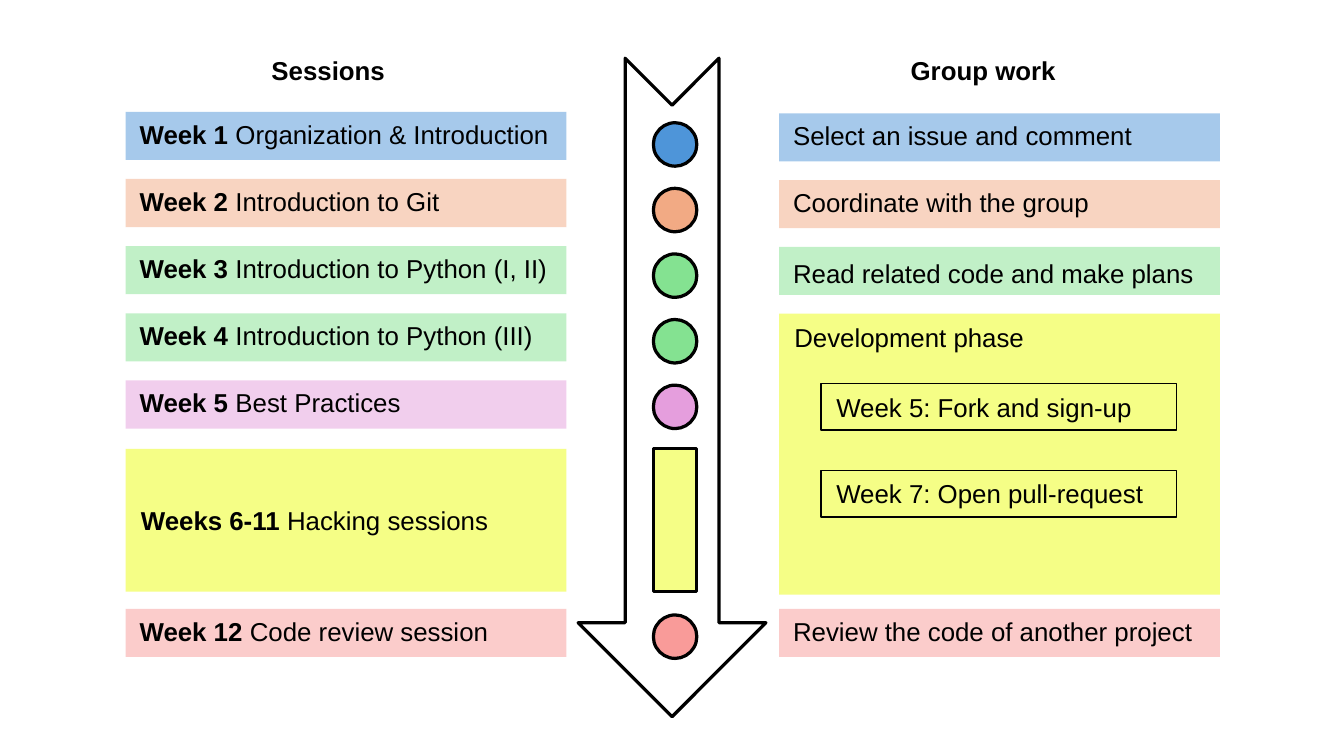
from lxml import etree
from pptx import Presentation
from pptx import util as u
from pptx.dml.color import RGBColor
from pptx.enum import shapes, text
from pptx.oxml.ns import qn

KIND = shapes.MSO_SHAPE
BLUE, PEACH, GREEN = "4E95D9", "F2AA84", "84E291"
PINK, RED, LEMON = "E59EDD", "F99B99", "F5FE86"
BLACK, WHITE = "000000", "FFFFFF"
LEFT, MID, RIGHT = 0.81, 4.21, 5.02
WIDE, HIGH, DOT = 2.84, 0.31, 0.28
LAST = 3.92

WEEKS = [
    ("Week 1 ", "Organization & Introduction", BLUE),
    ("Week 2 ", "Introduction to Git", PEACH),
    ("Week 3 ", "Introduction to Python (I, II)", GREEN),
    ("Week 4 ", "Introduction to Python (III)", GREEN),
    ("Week 5 ", "Best Practices", PINK),
]
TASKS = [
    ("Select an issue and comment", BLUE, "MIDDLE"),
    ("Coordinate with the group", PEACH, "MIDDLE"),
    ("Read related code and make plans", GREEN, "TOP"),
]
STEPS = [("Week 5: Fork and sign-up", 2.47), ("Week 7: Open pull-request", 3.03)]


def color(code):
    return RGBColor.from_string(code)


def fade(shape, share):
    tone = shape.fill._xPr.find(qn("a:solidFill"))[0]
    etree.SubElement(tone, qn("a:alpha")).set("val", str(share * 1000))


def write(shape, runs, anchor="MIDDLE", align="LEFT", pad=None, lead=None):
    frame = shape.text_frame
    frame.word_wrap = True
    frame.vertical_anchor = getattr(text.MSO_ANCHOR, anchor)
    if pad is not None:
        frame.margin_left = frame.margin_right = u.Inches(pad)
        frame.margin_top = frame.margin_bottom = u.Inches(pad)
    para = frame.paragraphs[0]
    para.alignment = getattr(text.PP_ALIGN, align)
    if lead:
        para.line_spacing = lead
    for words, bold in runs:
        run = para.add_run()
        run.text = words
        run.font.name = "Arial"
        run.font.size = u.Pt(12)
        run.font.bold = bold
        run.font.color.rgb = color(BLACK)


def draw(slide, kind, left, top, width, height, fill=None, line=None):
    shape = slide.shapes.add_shape(
        kind, u.Inches(left), u.Inches(top), u.Inches(width), u.Inches(height))
    shape.shadow.inherit = False
    if fill:
        shape.fill.solid()
        shape.fill.fore_color.rgb = color(fill)
    else:
        shape.fill.background()
    if line:
        shape.line.color.rgb = color(BLACK)
        shape.line.width = u.Pt(line)
    else:
        shape.line.fill.background()
    return shape


def bar(slide, left, top, fill, runs, anchor="MIDDLE"):
    shape = draw(slide, KIND.RECTANGLE, left, top, WIDE, HIGH, fill)
    fade(shape, 50)
    write(shape, runs, anchor, pad=0.09, lead=0.9)


def block(slide, left, top, height, runs, anchor):
    shape = draw(slide, KIND.RECTANGLE, left, top, WIDE, height, LEMON)
    write(shape, runs, anchor)


def head(slide, left, words):
    box = slide.shapes.add_textbox(
        u.Inches(left), u.Inches(0.3), u.Inches(2.29), u.Inches(0.3))
    write(box, [(words, True)], "TOP", "CENTER")


def dot(slide, top, fill):
    draw(slide, KIND.OVAL, MID, top, DOT, DOT, fill, 1.5)


def main():
    deck = Presentation()
    deck.slide_width, deck.slide_height = u.Inches(8.66), u.Inches(4.72)
    slide = deck.slides.add_slide(deck.slide_layouts[6])

    arrow = draw(slide, KIND.NOTCHED_RIGHT_ARROW, 2.21, 1.89, 4.24, 1.21, WHITE, 1.5)
    arrow.rotation = 90

    head(slide, 0.97, "Sessions")
    for row, (week, topic, fill) in enumerate(WEEKS):
        bar(slide, LEFT, 0.72 + 0.4325 * row, fill, [(week, True), (topic, False)])
        dot(slide, 0.79 + 0.4225 * row, fill)
    block(slide, LEFT, 2.89, 0.92,
          [("Weeks 6-11 ", True), ("Hacking sessions", False)], "MIDDLE")
    draw(slide, KIND.RECTANGLE, MID, 2.89, DOT, 0.92, LEMON, 1.5)
    bar(slide, LEFT, LAST, RED, [("Week 12 ", True), ("Code review session", False)])
    dot(slide, 3.96, RED)

    head(slide, 5.19, "Group work")
    for row, (task, fill, anchor) in enumerate(TASKS):
        bar(slide, RIGHT, 0.73 + 0.43 * row, fill, [(task, False)], anchor)
    block(slide, RIGHT, 2.02, 1.81, [("Development phase", False)], "TOP")
    for step, top in STEPS:
        frame = draw(slide, KIND.RECTANGLE, 5.29, top, 2.29, 0.3, line=0.75)
        write(frame, [(step, False)], "TOP")
    bar(slide, RIGHT, LAST, RED, [("Review the code of another project", False)])

    deck.save("out.pptx")


if __name__ == "__main__":
    main()
